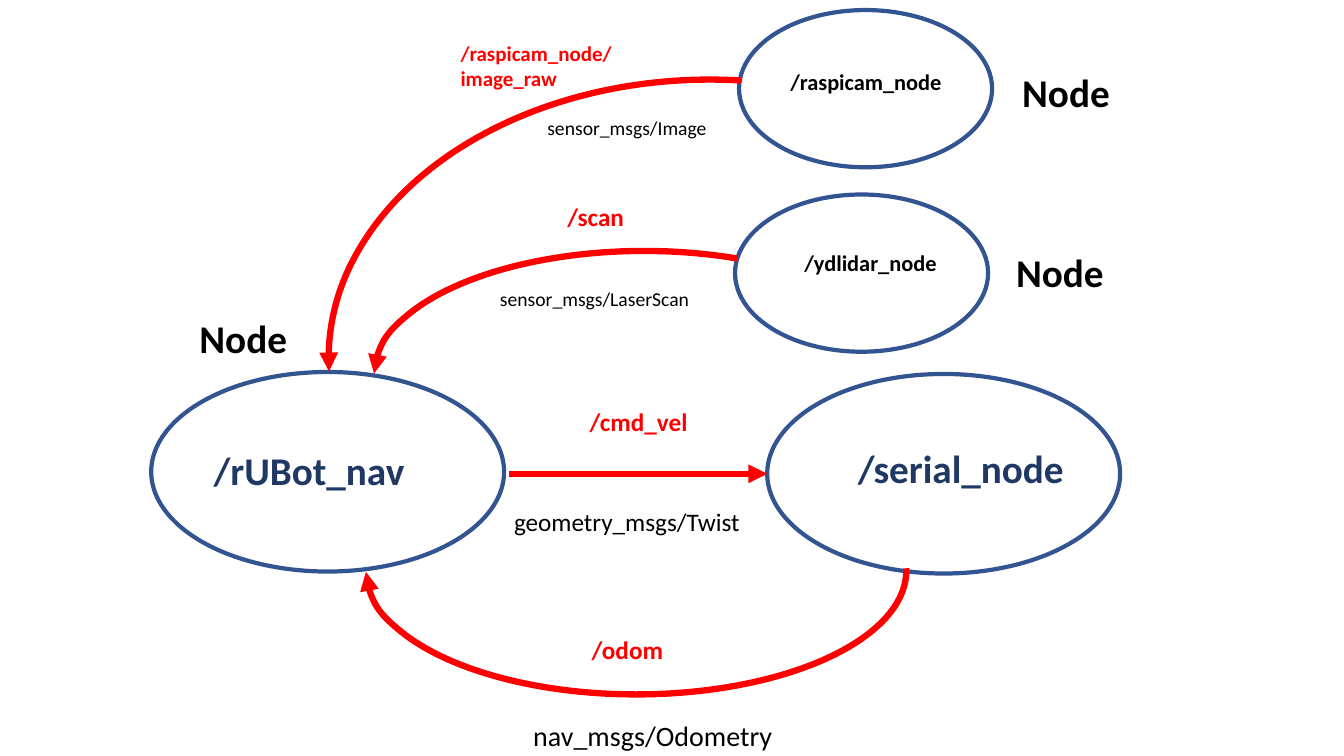
from lxml import etree
from pptx import Presentation
from pptx.dml.color import RGBColor
from pptx.enum.shapes import MSO_CONNECTOR, MSO_SHAPE
from pptx.enum.text import MSO_AUTO_SIZE
from pptx.oxml.ns import qn
from pptx.util import Inches, Pt

FONT = "Calibri"
RED, BLUE, NAVY, BLACK = "FF0000", "325490", "203864", "000000"
BIG, SMALL = (3.5, 1.98), (2.51, 1.56)

# left, top, (width, height)
NODES = [
    (1.5, 3.69, BIG),
    (7.61, 3.71, BIG),
    (7.29, 1.93, SMALL),
    (7.33, 0.1, SMALL),
]

# left, top, width, height, start and end adjustment, flipped vertically
TOPIC_ARCS = [
    (3.63, 4.43, 5.36, 2.46, 215.72, 107.82, False),
    (3.71, 2.49, 5.36, 2.46, 30.84, 107.82, True),
    (3.26, 0.79, 7.56, 5.54, 50.14, 109.14, True),
]
CMD_VEL_ARROW = (5.05, 4.7, 7.61, 4.7)

# text, left, top, width, height, size, colour, bold
LABELS = [
    ("Node", 1.88, 3.07, 1.07, 0.57, 28, BLACK, True),
    ("Node", 9.98, 2.41, 1.07, 0.57, 28, BLACK, True),
    ("Node", 10.04, 0.63, 1.07, 0.57, 28, BLACK, True),
    ("/rUBot_nav", 2.02, 4.38, 2.09, 0.57, 28, NAVY, True),
    ("/serial_node", 8.41, 4.36, 2.24, 0.57, 28, NAVY, True),
    ("/ydlidar_node", 7.88, 2.42, 1.51, 0.37, 16, BLACK, True),
    ("/raspicam_node", 7.74, 0.63, 1.7, 0.37, 16, BLACK, True),
    ("/raspicam_node/image_raw", 4.47, 0.35, 2.65, 0.35, 15, RED, True),
    ("sensor_msgs/Image", 5.33, 1.1, 1.78, 0.33, 14, BLACK, False),
    ("/scan", 5.53, 1.95, 0.76, 0.4, 18, RED, True),
    ("sensor_msgs/LaserScan", 4.86, 2.8, 2.08, 0.33, 14, BLACK, False),
    ("/cmd_vel", 5.75, 3.98, 1.17, 0.4, 18, RED, True),
    ("geometry_msgs/Twist", 5, 4.97, 2.44, 0.4, 18, BLACK, False),
    ("/odom", 5.77, 6.24, 0.91, 0.4, 18, RED, True),
    ("nav_msgs/Odometry", 5.19, 7.08, 2.57, 0.43, 20, BLACK, False),
]


def color(value):
    return RGBColor.from_string(value)


def set_line(s, value, width):
    s.line.color.rgb = color(value)
    s.line.width = Pt(width)


def style_arrow(s):
    """Red line with a triangle at its end."""
    set_line(s, RED, 4.5)
    etree.SubElement(s.line._get_or_add_ln(), qn("a:tailEnd"), type="triangle")


def add_outline(slide, kind, *box):
    s = slide.shapes.add_shape(kind, *map(Inches, box))
    s.shadow.inherit = False
    s.fill.background()
    return s


def add_node(slide, left, top, size):
    s = add_outline(slide, MSO_SHAPE.OVAL, left, top, *size)
    set_line(s, BLUE, 3)


def add_arc(slide, left, top, width, height, start, end, flipped):
    s = add_outline(slide, MSO_SHAPE.ARC, left, top, width, height)
    s.adjustments[0] = start
    s.adjustments[1] = end
    if flipped:
        s.element.spPr.find(qn("a:xfrm")).set("flipV", "1")
    style_arrow(s)


def add_arrow(slide, *ends):
    s = slide.shapes.add_connector(MSO_CONNECTOR.STRAIGHT, *map(Inches, ends))
    style_arrow(s)
    etree.SubElement(s.element.spPr, qn("a:effectLst"))


def add_label(slide, text, left, top, width, height, size, value, bold):
    box = map(Inches, (left, top, width, height))
    tf = slide.shapes.add_textbox(*box).text_frame
    tf.word_wrap = False
    tf.auto_size = MSO_AUTO_SIZE.SHAPE_TO_FIT_TEXT
    tf.text = text
    font = tf.paragraphs[0].runs[0].font
    font.name = FONT
    font.size = Pt(size)
    font.bold = bold
    font.color.rgb = color(value)


def main():
    prs = Presentation()
    prs.slide_width, prs.slide_height = Inches(13.33), Inches(7.5)
    slide = prs.slides.add_slide(prs.slide_layouts[6])
    for node in NODES:
        add_node(slide, *node)
    for arc in TOPIC_ARCS:
        add_arc(slide, *arc)
    add_arrow(slide, *CMD_VEL_ARROW)
    for label in LABELS:
        add_label(slide, *label)
    prs.save("out.pptx")


if __name__ == "__main__":
    main()
